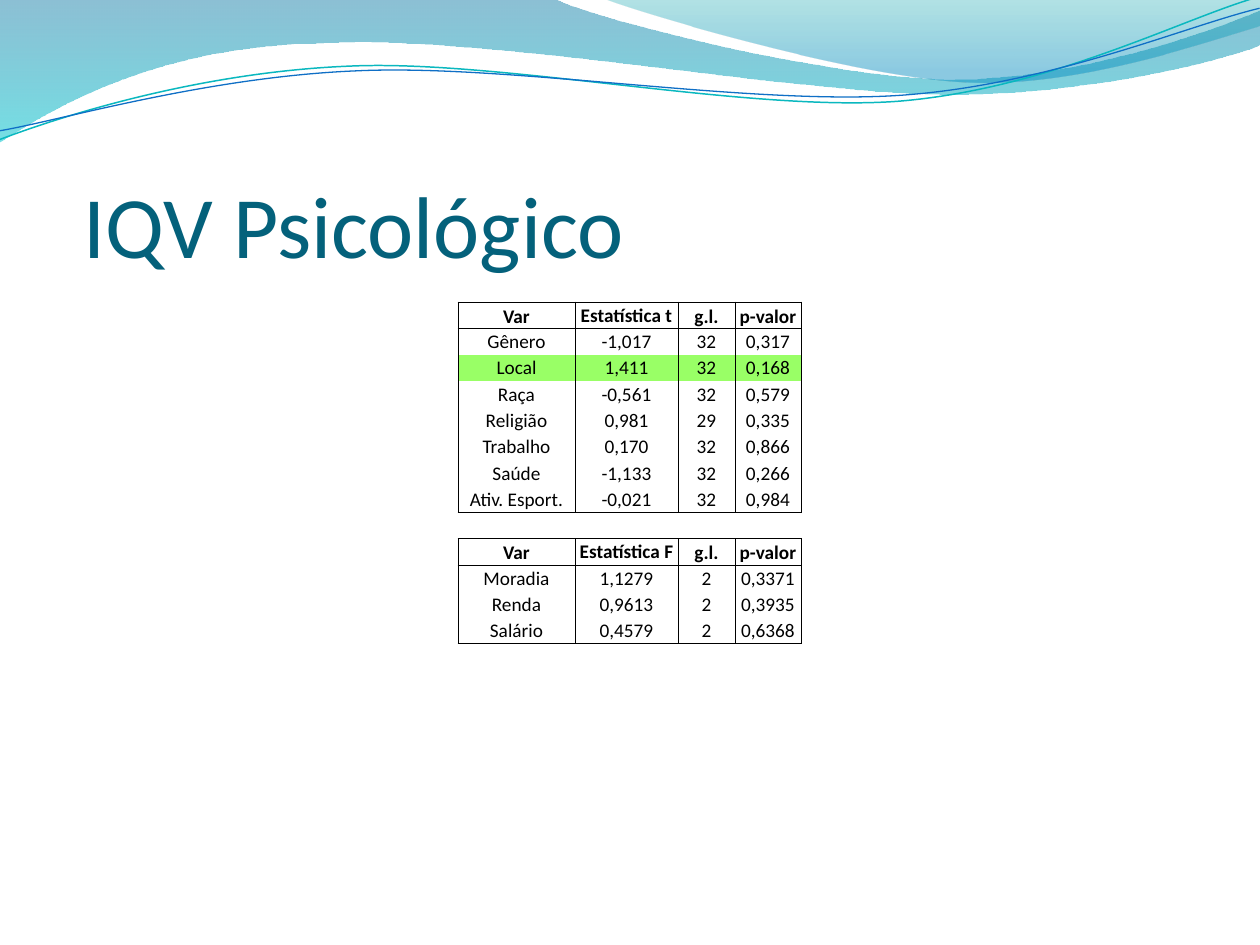
from lxml import etree
from pptx import Presentation
from pptx.dml.color import RGBColor
from pptx.enum.text import MSO_ANCHOR, PP_ALIGN
from pptx.oxml.ns import qn
from pptx.util import Pt

CENTER = PP_ALIGN.CENTER
MIDDLE, BOTTOM = MSO_ANCHOR.MIDDLE, MSO_ANCHOR.BOTTOM
PX = 914400 / 126
NO_STYLE = "{2D5ABB26-0587-4C30-8999-92F81FD0307C}"


def rgb(value):
    return RGBColor.from_string(value)


def add_curve(s, start, segments, close):
    points = [(round(x * PX), round(y * PX)) for seg in segments for x, y in seg]
    builder = s.shapes.build_freeform(round(start[0] * PX), round(start[1] * PX), scale=1.0)
    builder.add_line_segments(points, close=close)
    sp = builder.convert_to_shape()
    sp.shadow.inherit = False
    lines = iter(sp._element.xpath(".//a:lnTo"))
    for seg in segments:
        parts = [next(lines) for _ in seg]
        if len(parts) == 3:
            curve = etree.Element(qn("a:cubicBezTo"))
            parts[0].addprevious(curve)
            for part in parts:
                curve.append(part[0])
                part.getparent().remove(part)
    return sp


prs = Presentation()
prs.slide_width, prs.slide_height = round(1260 * PX), round(945 * PX)
s = prs.slides.add_slide(prs.slide_layouts[6])

waves = [
    ((0, 0),
     [[(554, -1)],
      [(600, 21), (837, 79), (955, 79)],
      [(1075, 79), (1207, 33), (1260, 11)],
      [(1261, 45)],
      [(1239, 55), (1096, 96), (940, 94)],
      [(784, 92), (481, 35), (324, 43)],
      [(161, 45), (58, 105), (-1, 142)],
      [(0, 0)]],
     [(0, "0074A1", 45), (1, "00C6CF", 55)]),
    ((604, -1),
     [[(641, 14), (859, 78), (969, 82)],
      [(1079, 87), (1211, 40), (1260, 26)],
      [(1260, 0)],
      [(604, -1)]],
     [(0, "00A1A9", 30), (0.8, "008BBF", 45)]),
]
for start, segments, stops in waves:
    sp = add_curve(s, start, segments, True)
    sp.line.fill.background()
    sp.fill.gradient()
    sp.fill.gradient_angle = 270
    for stop, (position, color, _) in zip(sp.fill.gradient_stops, stops):
        stop.position = position
        stop.color.rgb = rgb(color)
    for clr, (_, _, opacity) in zip(sp._element.xpath(".//a:gs/a:srgbClr"), stops):
        etree.SubElement(clr, qn("a:alpha"), val=str(opacity * 1000))

strands = [
    ((-3, 110),
     [[(58, 90), (199, 52), (350, 53)],
      [(499, 53), (745, 118), (896, 114)],
      [(1048, 109), (1184, 45), (1260, 27)]],
     "0AB8BF", 0.85),
    ((-2, 101),
     [[(57, 94), (207, 57), (357, 58)],
      [(509, 58), (750, 112), (902, 108)],
      [(1052, 104), (1188, 52), (1262, 38)]],
     "0F6FC6", 0.75),
]
for start, segments, color, width in strands:
    sp = add_curve(s, start, segments, False)
    sp.rotation = 357.3
    sp.fill.background()
    sp.line.color.rgb = rgb(color)
    sp.line.width = Pt(width)

sp = s.shapes.add_textbox(*[round(v * PX) for v in (84, 118, 1134, 158)])
tf = sp.text_frame
tf.word_wrap = True
tf.vertical_anchor = BOTTOM
tf.margin_left = tf.margin_right = tf.margin_bottom = 0
tf.margin_top = round(6 * PX)
tf.text = "IQV Psicológico"
r = tf.paragraphs[0].runs[0]
r.font.name, r.font.size = "Calibri", Pt(50)
r.font.color.rgb = rgb("04617B")

rows = [
    ("Var", "Estatística t", "g.l.", "p-valor"),
    ("Gênero", "-1,017", "32", "0,317"),
    ("Local", "1,411", "32", "0,168"),
    ("Raça", "-0,561", "32", "0,579"),
    ("Religião", "0,981", "29", "0,335"),
    ("Trabalho", "0,170", "32", "0,866"),
    ("Saúde", "-1,133", "32", "0,266"),
    ("Ativ. Esport.", "-0,021", "32", "0,984"),
    ("", "", "", ""),
    ("Var", "Estatística F", "g.l.", "p-valor"),
    ("Moradia", "1,1279", "2", "0,3371"),
    ("Renda", "0,9613", "2", "0,3935"),
    ("Salário", "0,4579", "2", "0,6368"),
]
widths = [117, 103, 57, 66]
box = [round(v * PX) for v in (458, 302, sum(widths), 342)]
table = s.shapes.add_table(len(rows), len(widths), *box).table
table.first_row = table.horz_banding = False
table._tbl.tblPr.find(qn("a:tableStyleId")).text = NO_STYLE
for col, width in zip(table.columns, widths):
    col.width = round(width * PX)

for i, row in enumerate(rows):
    header = row[0] == "Var"
    gap = not row[0]
    top = header or gap or rows[i - 1][0] == "Var"
    bottom = header or gap or i + 1 == len(rows) or not rows[i + 1][0]
    sides = [("L", not gap), ("R", not gap), ("T", top), ("B", bottom)]
    for j, text in enumerate(row):
        cell = table.cell(i, j)
        cell.margin_left = cell.margin_right = cell.margin_top = round(PX)
        cell.margin_bottom = 0
        cell.vertical_anchor = BOTTOM if header and j != 1 else MIDDLE
        tcPr = cell._tc.get_or_add_tcPr()
        for side, shown in sides:
            ln = etree.SubElement(tcPr, qn("a:ln" + side), w=str(Pt(0.5)))
            if shown:
                fill = etree.SubElement(ln, qn("a:solidFill"))
                etree.SubElement(fill, qn("a:srgbClr"), val="000000")
            else:
                etree.SubElement(ln, qn("a:noFill"))
        if gap or header and j == 1:
            cell.fill.background()
        else:
            cell.fill.solid()
            cell.fill.fore_color.rgb = rgb("99FF66" if row[0] == "Local" else "FFFFFF")
        p = cell.text_frame.paragraphs[0]
        p.alignment = CENTER
        if gap:
            etree.SubElement(p._p, qn("a:endParaRPr"), sz="1100")
            continue
        p.text = text
        r = p.runs[0]
        r.font.name, r.font.size, r.font.bold = "Calibri", Pt(11), header
        r.font.color.rgb = rgb("000000")

prs.save("out.pptx")
